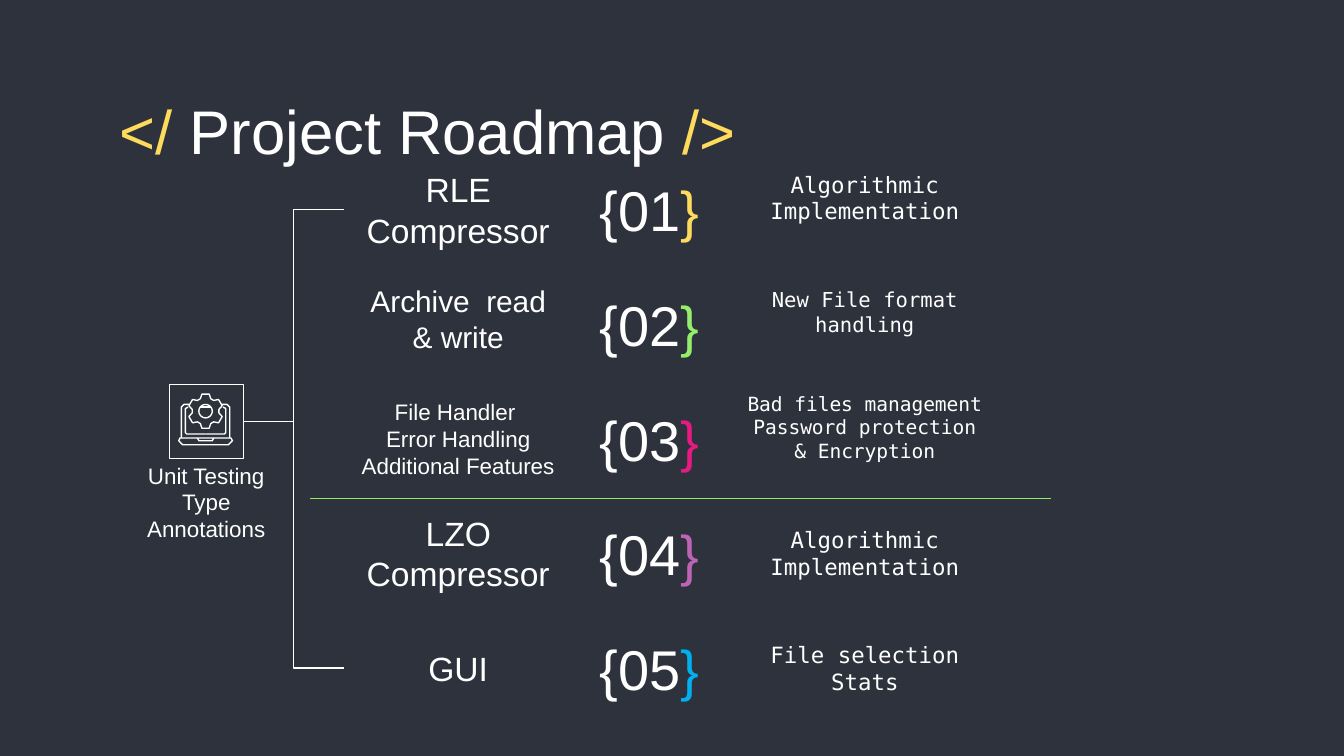
"""Builds the project roadmap slide."""
from dataclasses import dataclass
from math import cos, pi, sin

from pptx import Presentation
from pptx.dml.color import RGBColor
from pptx.enum.shapes import MSO_CONNECTOR as CONN, MSO_SHAPE as SHAPE
from pptx.enum.text import MSO_ANCHOR as ANCHOR, PP_ALIGN as ALIGN
from pptx.oxml.ns import qn
from pptx.util import Inches, Pt

COLORS = {
    "bg": "2D323C", "white": "FFFFFF", "yellow": "FFDB5D", "green": "94EE6B",
    "pink": "E81981", "purple": "BD64B5", "blue": "00B0F0", "divider": "90EC65",
}
SANS, MONO = "Arial", "DejaVu Sans Mono"
FIRST_TOP, LAST_TOP, ROW_H = 1.31, 4.72, 0.5
GEAR_X, GEAR_Y = 1.53, 3.06


@dataclass(frozen=True)
class Run:
    text: str
    color: str = "white"


@dataclass(frozen=True)
class Step:
    label: tuple[str, ...]
    label_size: float
    detail: tuple[str, ...]
    detail_size: float
    color: str
    lift: float = 0
    label_shift: float = 0
    label_height: float = ROW_H


@dataclass(frozen=True)
class Contour:
    points: list
    closed: bool = False


STEPS = (
    Step(("RLE Compressor",), 18, ("Algorithmic Implementation",), 12, "yellow", 0.18),
    Step(("Archive  read & write",), 16, ("New File format handling",), 11, "green",
         0.18, -0.19, 0.79),
    Step(("File Handler ", "Error Handling Additional Features"), 12,
         ("Bad files management", "Password protection & Encryption"), 10.5, "pink", 0.18),
    Step(("LZO Compressor",), 18, ("Algorithmic Implementation",), 12, "purple"),
    Step(("GUI",), 18, ("File selection", "Stats"), 12, "blue"),
)


def rgb(name: str) -> RGBColor:
    """Return a named colour."""
    return RGBColor.from_string(COLORS[name])


def add_text(s, box: tuple, paragraphs: list, size: float, font: str = SANS,
             align=ALIGN.CENTER, anchor=ANCHOR.MIDDLE, bottom: float = 0.1):
    """Add a wrapped text box, one list of runs per paragraph."""
    sp = s.shapes.add_textbox(*map(Inches, box))
    tf = sp.text_frame
    tf.word_wrap = True
    tf.vertical_anchor = anchor
    tf.margin_left = tf.margin_right = tf.margin_top = Inches(0.1)
    tf.margin_bottom = Inches(bottom)
    for i, runs in enumerate(paragraphs):
        p = tf.paragraphs[0] if i == 0 else tf.add_paragraph()
        p.alignment = align
        for run in runs:
            r = p.add_run()
            r.text = run.text
            r.font.size, r.font.name = Pt(size), font
            r.font.color.rgb = rgb(run.color)
    return sp


def plain(lines: tuple[str, ...]) -> list:
    """Turn lines into one-run white paragraphs."""
    return [[Run(line)] for line in lines]


def style_outline(sp) -> None:
    """Give a shape a thin white outline and no fill."""
    sp.shadow.inherit = False
    sp.fill.background()
    sp.line.color.rgb, sp.line.width = rgb("white"), Pt(0.75)


def add_line(s, kind, start: tuple, end: tuple, color: str):
    """Add a connector without a shadow."""
    c = s.shapes.add_connector(kind, *map(Inches, start + end))
    c.line.color.rgb, c.line.width = rgb(color), Pt(0.75)
    sp_pr = c._element.spPr
    sp_pr.append(sp_pr.makeelement(qn("a:effectLst"), {}))
    return c


def add_step(s, index: int, step: Step):
    """Draw one roadmap row and return its label."""
    top = FIRST_TOP + index * (LAST_TOP - FIRST_TOP) / (len(STEPS) - 1)
    label = add_text(s, (2.56, top + step.label_shift, 1.7, step.label_height),
                     plain(step.label), step.label_size)
    add_text(s, (5.43, top, 2.01, ROW_H), plain(step.detail), step.detail_size, MONO,
             bottom=0.1 + step.lift)
    add_text(s, (4.25, top, 1.17, ROW_H),
             [[Run(f"{{{index + 1:02}"), Run("}", step.color)]], 30)
    return label


def polar(radius: float, turn: float) -> tuple:
    """Return a point around the gear's centre, clockwise from the top."""
    angle = 2 * pi * turn - pi / 2
    return GEAR_X + radius * cos(angle), GEAR_Y + radius * sin(angle)


def gear_contour(teeth: int = 6) -> Contour:
    """Return the toothed rim of the gear."""
    profile = ((-0.38, 0.1), (-0.2, 0.13), (0.2, 0.13), (0.38, 0.1))
    return Contour([polar(radius, (tooth + offset) / teeth)
                    for tooth in range(teeth) for offset, radius in profile], True)


def add_outline(s, contours: list) -> None:
    """Draw several contours as one outlined freeform."""
    builder = s.shapes.build_freeform(*map(Inches, contours[0].points[0]))
    for i, contour in enumerate(contours):
        first, *rest = [(Inches(x), Inches(y)) for x, y in contour.points]
        if i:
            builder.move_to(*first)
        builder.add_line_segments(rest, close=contour.closed)
    style_outline(builder.convert_to_shape())


def add_laptop(s) -> None:
    """Draw the laptop icon with a gear on its screen."""
    lid = [(1.41, 3.01), (1.37, 3.01), (1.35, 3.03), (1.35, 3.26)]
    screen = [(1.4, 3.03), (1.38, 3.04), (1.38, 3.22), (1.39, 3.23), (GEAR_X, 3.23)]
    halves = [Contour([(2 * GEAR_X - x, y) if mirrored else (x, y) for x, y in part])
              for part in (lid, screen) for mirrored in (False, True)]
    base = Contour([(1.34, 3.26), (1.72, 3.26), (1.73, 3.28), (1.7, 3.31),
                    (1.36, 3.31), (1.33, 3.28)], True)
    notch = Contour([(1.47, 3.26), (1.48, 3.28), (1.58, 3.28), (1.59, 3.26)])
    add_outline(s, [gear_contour(), *halves, base, notch])
    hub = Contour([polar(0.05, i / 24) for i in range(24)], True)
    add_outline(s, [hub, Contour([(1.49, 3.03), (1.57, 3.03)])])


def main() -> None:
    """Build and save the slide."""
    prs = Presentation()
    prs.slide_width, prs.slide_height = Inches(10), Inches(5.625)
    s = prs.slides.add_slide(prs.slide_layouts[6])
    s.background.fill.solid()
    s.background.fill.fore_color.rgb = rgb("bg")

    title = [Run("</ ", "yellow"), Run("Project Roadmap "), Run("/>", "yellow")]
    add_text(s, (0.79, 0.59, 8.43, 0.63), [title], 33, align=ALIGN.LEFT,
             anchor=ANCHOR.TOP)
    labels = [add_step(s, i, step) for i, step in enumerate(STEPS)]

    frame = s.shapes.add_shape(SHAPE.RECTANGLE, *map(Inches, (1.26, 2.86, 0.55, 0.55)))
    style_outline(frame)
    for label, y in ((labels[0], 1.56), (labels[-1], 4.97)):
        c = add_line(s, CONN.ELBOW, (1.81, 3.13), (2.56, y), "white")
        c.begin_connect(frame, 3)
        c.end_connect(label, 1)
    add_laptop(s)
    add_text(s, (0.92, 3.34, 1.23, 0.79), plain(("Unit Testing", "Type Annotations")), 12)
    add_line(s, CONN.STRAIGHT, (2.31, 3.71), (7.82, 3.71), "divider")
    prs.save("out.pptx")


if __name__ == "__main__":
    main()
